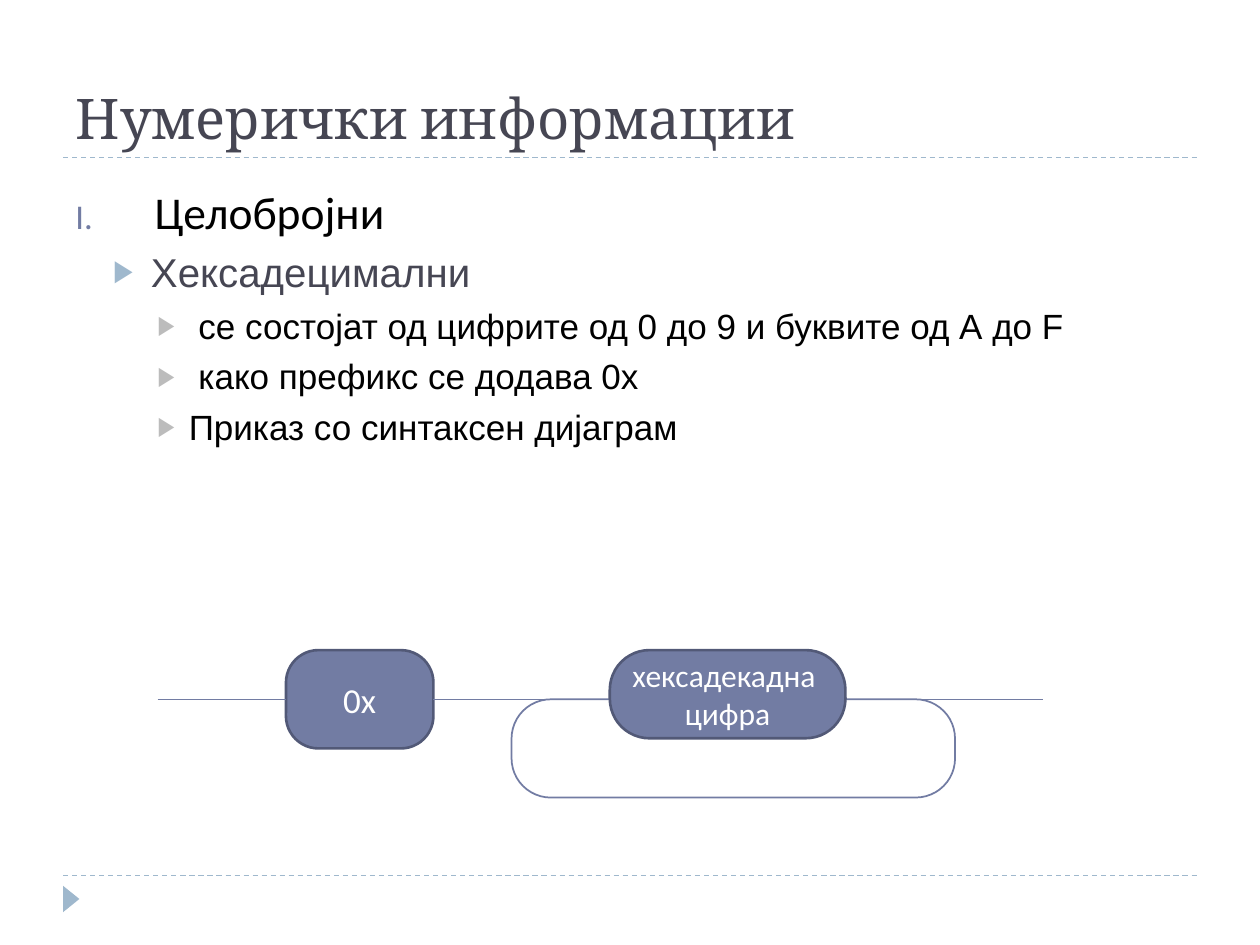
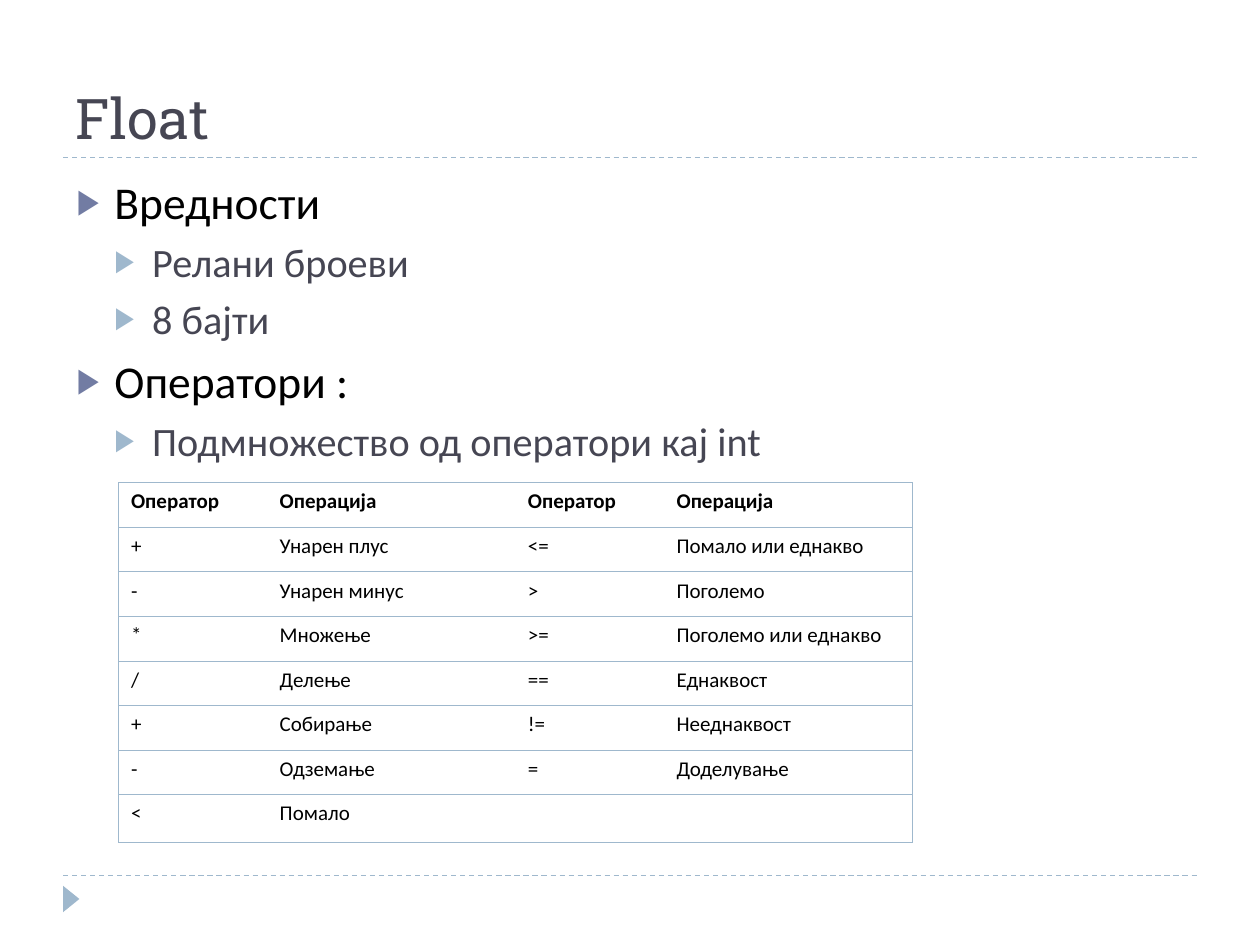
from lxml import etree
from pptx import Presentation
from pptx.dml.color import RGBColor
from pptx.enum import dml, shapes, text
from pptx.oxml import ns
from pptx.util import Pt

COLS, ROWS = 10, 7.5
CELL = 914400  # side of one square of the slide grid
MARGIN, WIDTH = 0.5, 9
INK, DARK, WHITE = "000000", "464653", "FFFFFF"
INDIGO, INDIGO_EDGE, SKY, GREY = "727CA3", "525977", "9FB8CD", "BCBCBC"
BODY_FONT = "Calibri"
NO_TABLE_STYLE = "{2D5ABB26-0587-4C30-8999-92F81FD0307C}"

# level: size, text colour, bullet colour, left indent, hanging, space before
LEVELS = [
    (26, INK, INDIGO, 0.3, 0.3, 6),
    (23, DARK, SKY, 0.6, 0.3, 5),
    (20, INK, GREY, 0.9, 0.25, 5),
]

OPERATORS = [
    ("Оператор", "Операција", "Оператор", "Операција"),
    ("+", "Унарен плус", "<=", "Помало или еднакво"),
    ("-", "Унарен минус", ">", "Поголемо"),
    ("*", "Множење", ">=", "Поголемо или еднакво"),
    ("/", "Делење", "==", "Еднаквост"),
    ("+", "Собирање", "!=", "Нееднаквост"),
    ("-", "Одземање", "=", "Доделување"),
    ("<", "Помало", "", ""),
]


def grid(*lengths):
    return [round(n * CELL) for n in lengths]


def rgb(value):
    return RGBColor.from_string(value)


def sub(parent, tag, **attrs):
    el = etree.SubElement(parent, ns.qn(tag))
    for name, value in attrs.items():
        el.set(name, str(value))
    return el


def add_run(p, words, size, color, font=BODY_FONT, bold=False):
    r = p.add_run()
    r.text = words
    f = r.font
    f.size, f.name, f.bold = Pt(size), font, bold
    f.color.rgb = rgb(color)


def add_line(slide, x1, x2, y, color, dashed=False):
    line = slide.shapes.add_connector(
        shapes.MSO_CONNECTOR.STRAIGHT, *grid(x1, y, x2, y))
    line.line.color.rgb = rgb(color)
    line.line.width = Pt(0.75)
    if dashed:
        line.line.dash_style = dml.MSO_LINE.DASH
    sub(line._element.spPr, "a:effectLst")


def add_shape(slide, kind, box, fill, edge=None, width=1, round_by=None):
    sp = slide.shapes.add_shape(kind, *grid(*box))
    sp.shadow.inherit = False
    sp.fill.solid()
    sp.fill.fore_color.rgb = rgb(fill)
    if edge:
        sp.line.color.rgb = rgb(edge)
        sp.line.width = Pt(width)
    else:
        sp.line.fill.background()
    if round_by is not None:
        sp.adjustments[0] = round_by
    return sp


def add_terminal(slide, box, round_by, size, lines):
    """Rounded symbol of a syntax diagram, one paragraph per line."""
    sp = add_shape(slide, shapes.MSO_SHAPE.ROUNDED_RECTANGLE, box,
                   INDIGO, INDIGO_EDGE, 1.5, round_by)
    tf = sp.text_frame
    tf.word_wrap = False
    tf.vertical_anchor = text.MSO_ANCHOR.MIDDLE
    for i, words in enumerate(lines):
        p = tf.add_paragraph() if i else tf.paragraphs[0]
        p.alignment = text.PP_ALIGN.CENTER
        add_run(p, words, size, WHITE)


def add_slide(prs, title, font):
    """Slide with its title, two dashed rules and the corner triangle."""
    slide = prs.slides.add_slide(prs.slide_layouts[5])
    for y in (1.25, 6.95):
        add_line(slide, MARGIN, MARGIN + WIDTH, y, SKY, dashed=True)
    corner = add_shape(slide, shapes.MSO_SHAPE.ISOSCELES_TRIANGLE,
                       (0.46, 7.07, 0.21, 0.13), SKY)
    corner.rotation = 90
    sp = slide.shapes.title
    sp.left, sp.top, sp.width, sp.height = grid(MARGIN, 0.17, WIDTH, 1.08)
    tf = sp.text_frame
    tf.auto_size = text.MSO_AUTO_SIZE.NONE
    tf.vertical_anchor = text.MSO_ANCHOR.BOTTOM
    p = tf.paragraphs[0]
    p.alignment = text.PP_ALIGN.LEFT
    add_run(p, title, 32, DARK, font)
    return slide


def set_bullet(p, color, left, hanging, numbered):
    pPr = p._p.get_or_add_pPr()
    pPr.set("marL", str(round(left * CELL)))
    pPr.set("indent", str(round(-hanging * CELL)))
    sub(sub(pPr, "a:buClr"), "a:srgbClr", val=color)
    sub(pPr, "a:buSzPct", val=76000)
    if numbered:
        sub(pPr, "a:buFont", typeface=BODY_FONT)
        sub(pPr, "a:buAutoNum", type="romanUcPeriod")
    else:
        sub(pPr, "a:buFont", typeface="Arial")
        sub(pPr, "a:buChar", char="▶")


def add_outline(slide, left, top, items, sub_font=BODY_FONT, numbered=False):
    """Items are (level, words); numbered gives level 0 Roman numerals."""
    box = slide.shapes.add_textbox(*grid(left, top, WIDTH, 6.88 - top))
    tf = box.text_frame
    tf.word_wrap = True
    for i, (level, words) in enumerate(items):
        p = tf.add_paragraph() if i else tf.paragraphs[0]
        size, color, bullet, indent, hanging, before = LEVELS[level]
        roman = numbered and level == 0
        if roman:
            indent = hanging = 0.63
        set_bullet(p, bullet, indent, hanging, roman)
        p.level = level
        if i:
            p.space_before = Pt(before)
        add_run(p, words, size, color, sub_font if level else BODY_FONT)


def set_borders(cell, sides):
    tcPr = cell._tc.get_or_add_tcPr()
    for side in "LRTB":
        if side in sides:
            ln = sub(tcPr, "a:ln" + side, w=Pt(0.45))
            sub(sub(ln, "a:solidFill"), "a:srgbClr", val=SKY)


def add_operator_table(slide, left, top, widths, heights):
    frame = slide.shapes.add_table(
        len(heights), len(widths),
        *grid(left, top, sum(widths), sum(heights)))
    table = frame.table
    table.first_row = table.horz_banding = False
    table._tbl.tblPr.find(ns.qn("a:tableStyleId")).text = NO_TABLE_STYLE
    for column, width in zip(table.columns, grid(*widths)):
        column.width = width
    for row, height in zip(table.rows, grid(*heights)):
        row.height = height
    last = len(widths) - 1
    for y, values in enumerate(OPERATORS):
        for x, value in enumerate(values):
            cell = table.cell(y, x)
            set_borders(cell, "TB" + "L" * (x == 0) + "R" * (x == last))
            cell.fill.background()
            p = cell.text_frame.paragraphs[0]
            if value:
                add_run(p, value, 12, INK, bold=y == 0)
            else:
                p.font.size = Pt(12)


def add_hex_diagram(slide):
    """Prefix 0x, then a digit that a loop lets repeat."""
    axis = 5.55
    add_shape(slide, shapes.MSO_SHAPE.ROUNDED_RECTANGLE,
              (4.06, axis, 3.52, 0.78), WHITE, INDIGO, 1, 0.4)
    add_terminal(slide, (4.84, 5.16, 1.87, 0.7), 0.45, 18,
                 ["хексадекадна ", "цифра"])
    add_terminal(slide, (2.27, 5.16, 1.17, 0.78), 0.33, 20, ["0x"])
    for start, end in ((1.25, 2.27), (3.44, 4.69), (7.03, 8.28)):
        add_line(slide, start, end, axis, INDIGO)


def main():
    prs = Presentation()
    prs.slide_width, prs.slide_height = grid(COLS, ROWS)

    integers = add_slide(prs, "Нумерички информации", "Cambria")
    add_outline(integers, MARGIN, 1.41, [
        (0, "Целобројни"),
        (1, "Хексадецимални"),
        (2, " се состојат од цифрите од 0 до 9 и буквите од А до F"),
        (2, " како префикс се додава 0x"),
        (2, "Приказ со синтаксен дијаграм"),
    ], sub_font="Arial", numbered=True)
    add_hex_diagram(integers)

    floats = add_slide(prs, "Float", "Roboto Slab")
    add_outline(floats, 0.51, 1.33, [
        (0, "Вредности"),
        (1, "Релани броеви"),
        (1, "8 бајти"),
        (0, "Оператори :"),
        (1, "Подмножество од оператори кај int"),
    ])
    add_operator_table(floats, 0.94, 3.83, [1.18, 1.97] * 2,
                       [2.48 / 7] * 7 + [0.38])

    prs.save("out.pptx")


if __name__ == "__main__":
    main()
